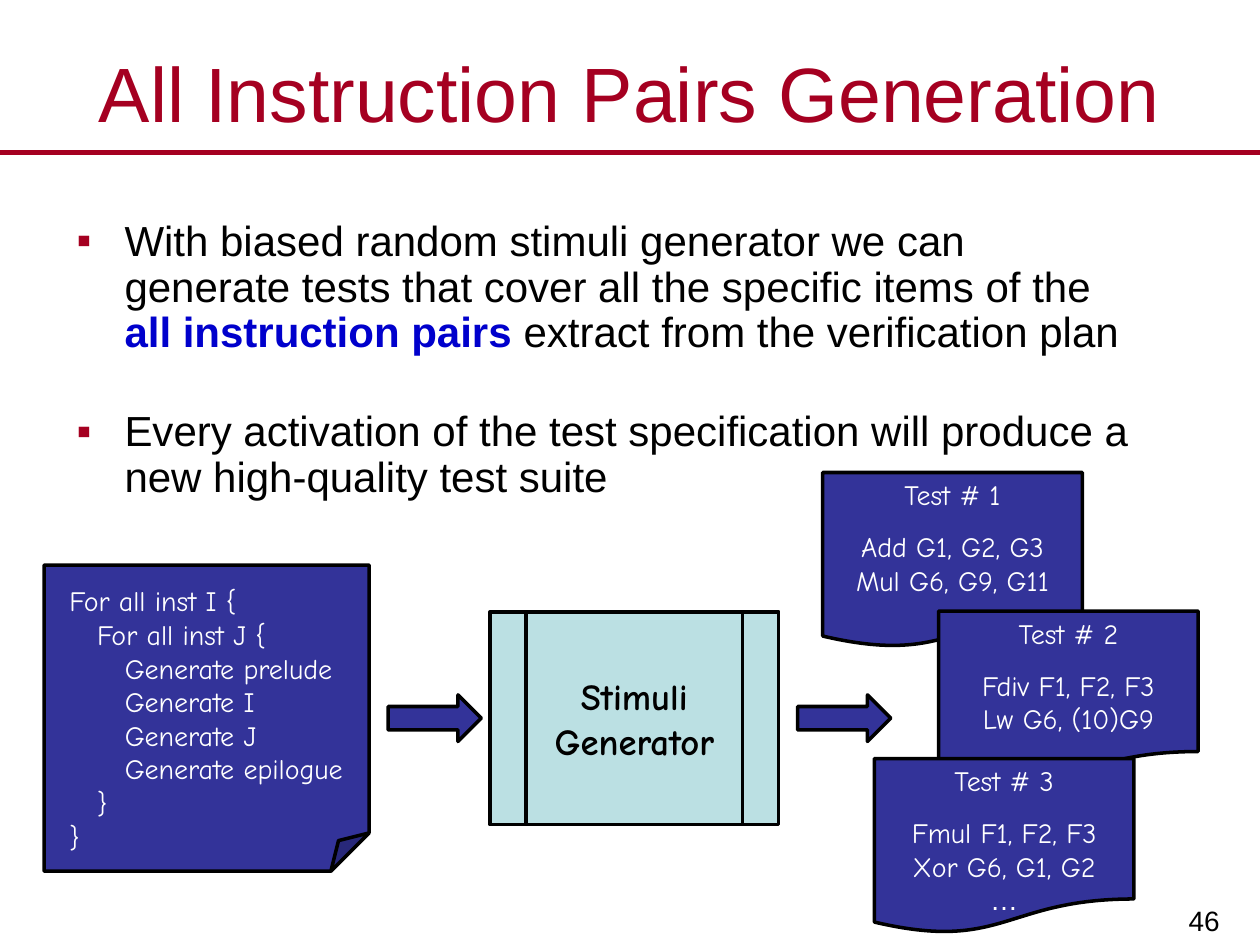
from dataclasses import dataclass

from lxml.etree import SubElement
from pptx import Presentation
from pptx.dml.color import RGBColor
from pptx.enum.shapes import MSO_CONNECTOR, MSO_SHAPE
from pptx.enum.text import MSO_ANCHOR, PP_ALIGN
from pptx.oxml.ns import qn
from pptx.util import Inches, Pt


@dataclass(frozen=True)
class Theme:
    red: str = "A50021"
    blue: str = "0000CC"
    navy: str = "333399"
    teal: str = "BBE0E3"
    black: str = "000000"
    white: str = "FFFFFF"
    font: str = "Arial"
    hand: str = "Comic Neue"
    title: int = 44
    body: int = 24
    box: int = 21
    small: int = 16


theme = Theme()

# Content
TITLE = "All Instruction Pairs Generation"
PAGE = "46"
BULLETS = [  # (space before, [(text, is key term)])
    (5, [("With biased random stimuli generator we can generate tests that "
          "cover all the specific items of the ", False),
         ("all instruction pairs", True),
         (" extract from the verification plan", False)]),
    (31, [("Every activation of the test specification will produce a new "
           "high-quality test suite", False)]),
]
SPECIFICATION = [  # (nesting level, text)
    (0, "For all inst I {"),
    (1, "For all inst J {"),
    (2, "Generate prelude"),
    (2, "Generate I"),
    (2, "Generate J"),
    (2, "Generate epilogue"),
    (1, "}"),
    (0, "}"),
]
GENERATOR = ["Stimuli", "Generator"]
TESTS = [  # (left, top, instructions)
    (6.53, 3.75, ["Add G1, G2, G3", "Mul G6, G9, G11"]),
    (7.45, 4.85, ["Fdiv F1, F2, F3", "Lw G6, (10)G9"]),
    (6.94, 6.02, ["Fmul F1, F2, F3", "Xor G6, G1, G2"]),
]

# Layout, in inches
WIDTH, HEIGHT = 10, 7.5
FLOW_MIDDLE = 5.7
SPEC_SIZE = (2.58, 2.43)
GENERATOR_SIZE = (2.29, 1.69)
ARROW_SIZE = (0.74, 0.37)
TEST_SIZE = (2.06, 1.39)
ARROW_LEFTS = (3.08, 6.33)
CODE_INDENT = 0.22
BULLET_INDENT = 0.38


def color(value):
    return RGBColor.from_string(value)


def add_run(paragraph, text, size, ink, font=theme.font, bold=False):
    run = paragraph.add_run()
    run.text = text
    run.font.size, run.font.name, run.font.bold = Pt(size), font, bold
    run.font.color.rgb = color(ink)


def set_frame(frame, anchor, insets=(0.1, 0.05, 0.1, 0.05)):
    frame.word_wrap = True
    frame.vertical_anchor = anchor
    (frame.margin_left, frame.margin_top,
     frame.margin_right, frame.margin_bottom) = map(Inches, insets)


def next_paragraph(frame, index, align=PP_ALIGN.LEFT):
    paragraph = frame.add_paragraph() if index else frame.paragraphs[0]
    paragraph.alignment = align
    return paragraph


def add_box(slide, kind, left, top, size, fill):
    shape = slide.shapes.add_shape(kind, *map(Inches, (left, top, *size)))
    shape.shadow.inherit = False
    shape.fill.solid()
    shape.fill.fore_color.rgb = color(fill)
    shape.line.color.rgb = color(theme.black)
    shape.line.width = Pt(2)
    return shape


def flow_top(size):
    return FLOW_MIDDLE - size[1] / 2


def add_header(slide):
    title = slide.shapes.title
    title.left, title.top, title.width, title.height = map(
        Inches, (0, 0.3, WIDTH, 0.86))
    set_frame(title.text_frame, MSO_ANCHOR.MIDDLE)
    add_run(next_paragraph(title.text_frame, 0, PP_ALIGN.CENTER),
            TITLE, theme.title, theme.red)

    rule = slide.shapes.add_connector(
        MSO_CONNECTOR.STRAIGHT, *map(Inches, (0, 1.21, WIDTH, 1.21)))
    rule.line.color.rgb = color(theme.red)
    rule.line.width = Pt(3)
    SubElement(rule._element.spPr, qn("a:effectLst"))


def add_page_number(slide):
    number = slide.shapes.add_textbox(*map(Inches, (7.8, 6.93, 1.99, 0.57)))
    set_frame(number.text_frame, MSO_ANCHOR.BOTTOM, (0.11, 0.06, 0.11, 0.06))
    add_run(next_paragraph(number.text_frame, 0, PP_ALIGN.RIGHT),
            PAGE, theme.small, theme.black)


def add_bullets(slide):
    body = slide.shapes.add_textbox(*map(Inches, (0.51, 1.7, 8.65, 2.53)))
    set_frame(body.text_frame, MSO_ANCHOR.TOP)
    for index, (space, runs) in enumerate(BULLETS):
        paragraph = next_paragraph(body.text_frame, index)
        paragraph.line_spacing = 0.9
        paragraph.space_before = Pt(space)
        properties = paragraph._p.get_or_add_pPr()
        properties.set("marL", str(Inches(BULLET_INDENT)))
        properties.set("indent", str(Inches(-BULLET_INDENT)))
        bullet_color = SubElement(properties, qn("a:buClr"))
        SubElement(bullet_color, qn("a:srgbClr"), val=theme.red)
        SubElement(properties, qn("a:buFont"), typeface=theme.font)
        SubElement(properties, qn("a:buChar"), char="▪")
        for text, key in runs:
            add_run(paragraph, text, theme.body,
                    theme.blue if key else theme.black, bold=key)


def add_flow(slide):
    # Test specification, with a small folded corner
    note = add_box(slide, MSO_SHAPE.FOLDED_CORNER, 0.35, flow_top(SPEC_SIZE),
                   SPEC_SIZE, theme.navy)
    guides = note._element.spPr.find(qn("a:prstGeom")).get_or_add_avLst()
    SubElement(guides, qn("a:gd"), name="adj", fmla="val 12500")
    set_frame(note.text_frame, MSO_ANCHOR.TOP, (0.2, 0.15, 0, 0))
    for index, (level, text) in enumerate(SPECIFICATION):
        paragraph = next_paragraph(note.text_frame, index)
        paragraph._p.get_or_add_pPr().set(
            "marL", str(Inches(level * CODE_INDENT)))
        add_run(paragraph, text, theme.small, theme.white, theme.hand)

    # Generator
    process = add_box(slide, MSO_SHAPE.FLOWCHART_PREDEFINED_PROCESS, 3.89,
                      flow_top(GENERATOR_SIZE), GENERATOR_SIZE, theme.teal)
    set_frame(process.text_frame, MSO_ANCHOR.MIDDLE, (0, 0.04, 0, 0.04))
    for index, text in enumerate(GENERATOR):
        add_run(next_paragraph(process.text_frame, index, PP_ALIGN.CENTER),
                text, theme.box, theme.black, theme.hand, bold=True)

    # Arrows
    for left in ARROW_LEFTS:
        add_box(slide, MSO_SHAPE.RIGHT_ARROW, left, flow_top(ARROW_SIZE),
                ARROW_SIZE, theme.navy)

    # Generated tests
    for number, (left, top, instructions) in enumerate(TESTS, 1):
        test = add_box(slide, MSO_SHAPE.FLOWCHART_DOCUMENT, left, top,
                       TEST_SIZE, theme.navy)
        set_frame(test.text_frame, MSO_ANCHOR.TOP, (0.03, 0.04, 0.03, 0.04))
        for index, text in enumerate([f"Test # {number}", *instructions, "…"]):
            paragraph = next_paragraph(test.text_frame, index, PP_ALIGN.CENTER)
            paragraph.space_before = Pt(10.5 if index == 1 else 0)
            add_run(paragraph, text, theme.small, theme.white,
                    theme.font if text == "…" else theme.hand)


def main():
    presentation = Presentation()
    presentation.slide_width = Inches(WIDTH)
    presentation.slide_height = Inches(HEIGHT)
    slide = presentation.slides.add_slide(presentation.slide_layouts[5])
    add_header(slide)
    add_page_number(slide)
    add_bullets(slide)
    add_flow(slide)
    presentation.save("out.pptx")


if __name__ == "__main__":
    main()
